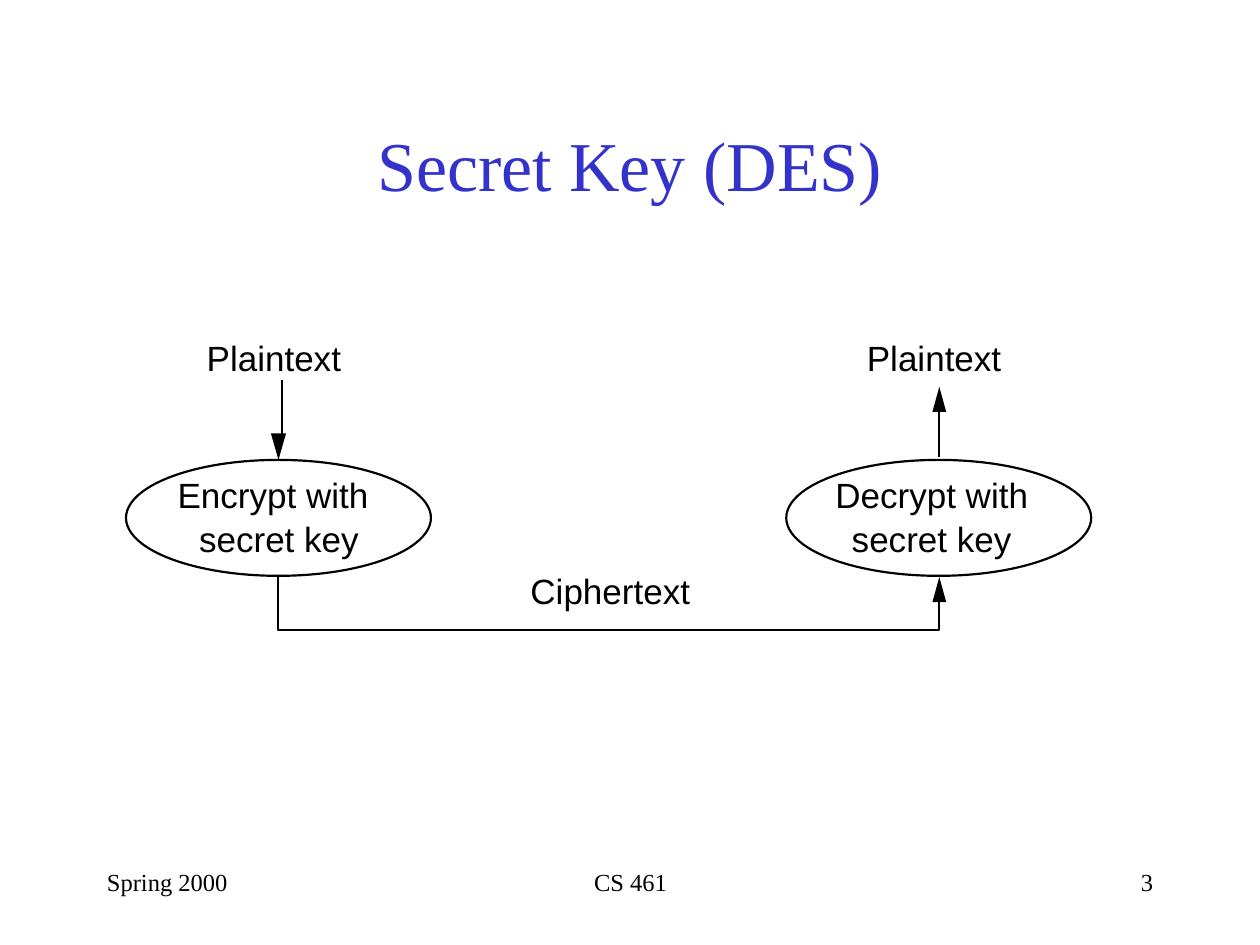
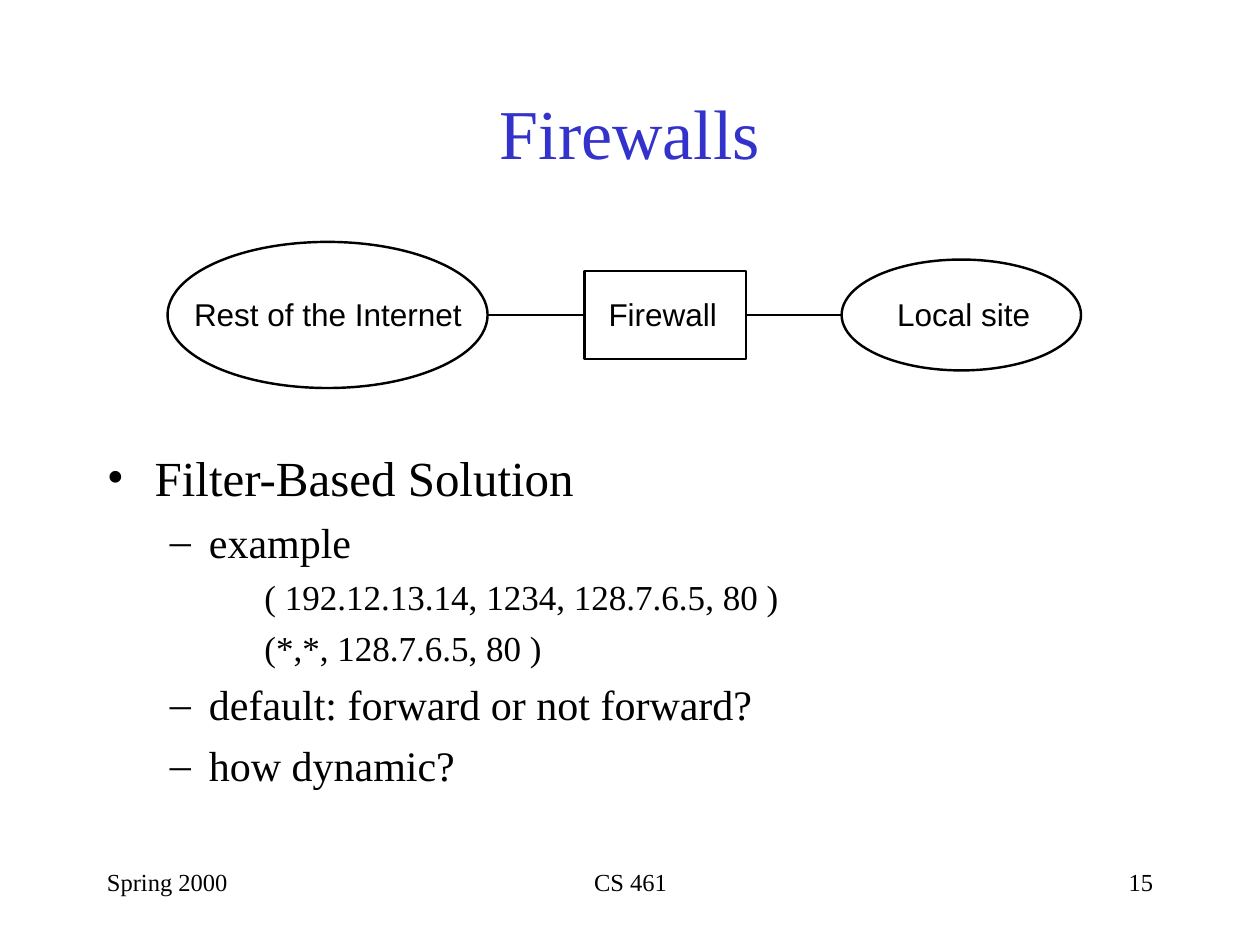
"""Build two slides on secret keys and firewalls."""
from dataclasses import dataclass

from lxml.etree import SubElement
from pptx import Presentation
from pptx.dml.color import RGBColor
from pptx.enum.shapes import MSO_CONNECTOR as Link, MSO_SHAPE as Kind
from pptx.enum.text import MSO_ANCHOR as Anchor, MSO_AUTO_SIZE as Fit, PP_ALIGN as Align
from pptx.oxml.ns import qn
from pptx.util import Pt

PX = 9144
BLACK = RGBColor(0x00, 0x00, 0x00)
BLUE = RGBColor(0x33, 0x33, 0xCC)
SERIF = "Times New Roman"
SANS = "Arial"


@dataclass(frozen=True)
class Box:
    left: int
    top: int
    width: int
    height: int

    def emu(self) -> tuple[int, ...]:
        return tuple(v * PX for v in (self.left, self.top, self.width, self.height))


@dataclass(frozen=True)
class Style:
    size: int
    font: str = SERIF
    color: RGBColor = BLACK
    align: Align = Align.LEFT


@dataclass(frozen=True)
class Label:
    text: str
    box: Box


@dataclass(frozen=True)
class Level:
    style: Style
    margin: int
    indent: int
    space: int
    mark: str = ""


@dataclass(frozen=True)
class Point:
    text: str
    level: Level


TITLE = Style(40, color=BLUE, align=Align.CENTER)
LARGE = Style(20, SANS)
SMALL = Style(18, SANS)
TOP = Level(Style(28), 38, -38, 7, "•")
SUB = Level(Style(24), 81, -31, 6, "–")
DEEP = Level(Style(20), 125, 0, 5)
BODY = Box(75, 350, 850, 292)
POINTS = (
    Point("Filter-Based Solution", TOP),
    Point("example", SUB),
    Point("( 192.12.13.14, 1234, 128.7.6.5, 80 )", DEEP),
    Point("(*,*, 128.7.6.5, 80 )", DEEP),
    Point("default: forward or not forward?", SUB),
    Point("how dynamic?", SUB),
)
KEYS = (
    Label("Plaintext", Box(164, 267, 111, 33)),
    Label("Encrypt with", Box(141, 376, 156, 33)),
    Label("secret key", Box(158, 411, 131, 33)),
    Label("Ciphertext", Box(421, 452, 131, 33)),
    Label("Plaintext", Box(688, 267, 111, 33)),
    Label("Decrypt with", Box(663, 376, 157, 33)),
    Label("secret key", Box(676, 411, 131, 33)),
)
SITES = (
    Label("Rest of the Internet", Box(154, 234, 217, 30)),
    Label("Firewall", Box(483, 234, 90, 30)),
    Label("Local site", Box(712, 234, 110, 30)),
)


def add_run(para, text: str, style: Style) -> None:
    para.alignment = style.align
    run = para.add_run()
    run.text = text
    font = run.font
    font.name, font.size = style.font, Pt(style.size)
    font.color.rgb = style.color


def add_frame(slide, box: Box):
    frame = slide.shapes.add_textbox(*box.emu()).text_frame
    frame.word_wrap = True
    return frame


def add_text(slide, text: str, box: Box, style: Style, anchor: Anchor = Anchor.TOP) -> None:
    frame = add_frame(slide, box)
    frame.vertical_anchor = anchor
    add_run(frame.paragraphs[0], text, style)


def add_labels(slide, labels: tuple[Label, ...], style: Style) -> None:
    for label in labels:
        frame = add_frame(slide, label.box)
        frame.word_wrap = False
        frame.auto_size = Fit.SHAPE_TO_FIT_TEXT
        frame.margin_left = frame.margin_right = 0
        frame.margin_top = frame.margin_bottom = 0
        add_run(frame.paragraphs[0], label.text, style)


def ink(shape, weight: float) -> None:
    shape.shadow.inherit = False
    shape.fill.background()
    shape.line.color.rgb = BLACK
    shape.line.width = Pt(weight)


def add_node(slide, kind: Kind, box: Box, weight: float) -> None:
    ink(slide.shapes.add_shape(kind, *box.emu()), weight)


def add_line(slide, x: int, y: int, to_x: int, to_y: int, weight: float) -> None:
    line = slide.shapes.add_connector(Link.STRAIGHT, x * PX, y * PX, to_x * PX, to_y * PX)
    line.line.color.rgb = BLACK
    line.line.width = Pt(weight)
    SubElement(line._element.spPr, qn("a:effectLst"))


def add_head(slide, box: Box, turn: int = 0) -> None:
    head = slide.shapes.add_shape(Kind.ISOSCELES_TRIANGLE, *box.emu())
    head.shadow.inherit = False
    head.rotation = turn
    head.fill.solid()
    head.fill.fore_color.rgb = BLACK
    head.line.fill.background()


def add_path(slide, points: tuple[tuple[int, int], ...], weight: float) -> None:
    path = slide.shapes.build_freeform(*points[0], scale=PX)
    path.add_line_segments(points[1:], close=False)
    ink(path.convert_to_shape(), weight)


def add_points(slide, box: Box, points: tuple[Point, ...]) -> None:
    frame = add_frame(slide, box)
    for i, point in enumerate(points):
        para = frame.add_paragraph() if i else frame.paragraphs[0]
        level = point.level
        props = para._p.get_or_add_pPr()
        props.set("marL", str(level.margin * PX))
        props.set("indent", str(level.indent * PX))
        if level.mark:
            tint = SubElement(props, qn("a:buClr"))
            SubElement(tint, qn("a:srgbClr")).set("val", str(BLACK))
            SubElement(props, qn("a:buFont")).set("typeface", SERIF)
            SubElement(props, qn("a:buChar")).set("char", level.mark)
        para.space_before = Pt(level.space if i else 0)
        add_run(para, point.text, level.style)


def add_slide(deck, title: str, box: Box, page: int):
    slide = deck.slides.add_slide(deck.slide_layouts[6])
    add_text(slide, title, box, TITLE, Anchor.MIDDLE)
    add_text(slide, "Spring 2000", Box(75, 683, 208, 50), Style(14))
    add_text(slide, "CS 461", Box(342, 683, 317, 50), Style(14, align=Align.CENTER))
    add_text(slide, str(page), Box(717, 683, 208, 50), Style(14, align=Align.RIGHT))
    return slide


def draw_keys(deck) -> None:
    slide = add_slide(deck, "Secret Key (DES)", Box(75, 67, 850, 125), 3)
    weight = 1.25
    for left in (100, 624):
        add_node(slide, Kind.OVAL, Box(left, 365, 242, 92), weight)
    add_line(slide, 224, 302, 224, 348, weight)
    add_head(slide, Box(215, 344, 12, 21), 180)
    add_line(slide, 745, 363, 745, 323, weight)
    add_path(slide, ((221, 457), (221, 500), (745, 500), (745, 478)), weight)
    for top in (307, 458):
        add_head(slide, Box(740, top, 11, 20))
    add_labels(slide, KEYS, LARGE)


def draw_walls(deck) -> None:
    slide = add_slide(deck, "Firewalls", Box(75, 58, 850, 92), 15)
    weight = 1.39
    add_node(slide, Kind.OVAL, Box(133, 192, 254, 116), weight)
    add_node(slide, Kind.RECTANGLE, Box(464, 215, 128, 70), weight)
    add_node(slide, Kind.OVAL, Box(668, 206, 190, 88), weight)
    for start, end in ((387, 464), (592, 668)):
        add_line(slide, start, 250, end, 250, weight)
    add_labels(slide, SITES, SMALL)
    add_points(slide, BODY, POINTS)


def main() -> None:
    deck = Presentation()
    deck.slide_width, deck.slide_height = 1000 * PX, 750 * PX
    draw_keys(deck)
    draw_walls(deck)
    deck.save("out.pptx")


if __name__ == "__main__":
    main()
